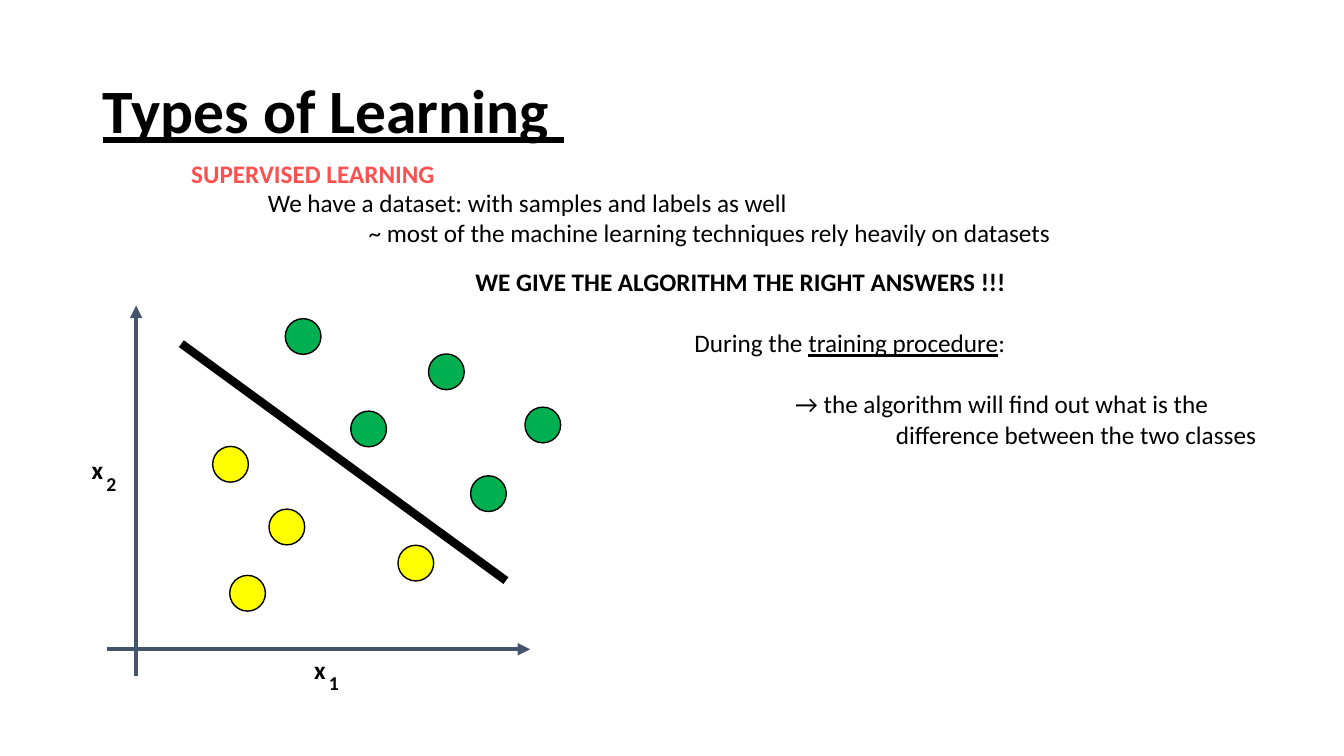
"""Build the supervised learning slide with its two-class scatter sketch."""
import pptx
import pptx.dml.color
import pptx.enum.shapes
import pptx.enum.text
import pptx.oxml.ns
import pptx.util
from lxml import etree

Cm, Pt = pptx.util.Cm, pptx.util.Pt
FONT = "Calibri"
BLACK, CORAL, SLATE = "000000", "FF5050", "44546A"
YELLOW, GREEN = "FFFF00", "00B050"
TAB = 2.54
BLANK_LINE = 22
DOT = 0.9
LABEL_HEIGHT = 1.02

TITLE = ("Types of Learning ", {"bold": True, "underline": True})
TITLE_AREA = (2.34, 1.02, 29.21, 3.68)

# (area, paragraphs); paragraph: (indent in tabs, space before, runs)
NOTES = [
    ((4.57, 3.86, 6.75, 1.02),
     [(0, 0, [("SUPERVISED LEARNING", {"bold": True, "color": CORAL})])]),
    ((6.5, 4.6, 20.47, 1.8),
     [(0, 0, [("We have a dataset: with samples and labels as well", {})]),
      (1, 0, [("~ most of the machine learning techniques rely heavily on datasets", {})])]),
    ((11.73, 6.58, 14.1, 1.02),
     [(0, 0, [("WE GIVE THE ALGORITHM THE RIGHT ANSWERS !!!", {"bold": True})])]),
    ((17.25, 8.13, 15.9, 3.33),
     [(0, 0, [("During the ", {}), ("training procedure", {"underline": True}), (":", {})]),
      (1, BLANK_LINE, [("→ the algorithm will find out what is the", {})]),
      (2, 0, [("difference between the two classes", {})])]),
]

AXES = [((3.43, 17.04), (3.43, 7.7)), ((2.69, 16.36), (13.36, 16.36))]
AXIS_LABELS = [("2", 2.06, 11.33), ("1", 7.67, 16.36)]
SUBSCRIPT_SHIFT = (0.37, 0.43)
BOUNDARY = ((4.57, 8.66), (12.75, 14.63))
CLASSES = {
    YELLOW: [(5.36, 11.25), (5.79, 14.5), (6.78, 12.83), (10.03, 13.74)],
    GREEN: [(7.19, 8.03), (8.84, 10.36), (11.86, 11.99), (13.23, 10.26), (10.8, 8.92)],
}


def rgb(value):
    return pptx.dml.color.RGBColor.from_string(value)


def add_span(para, text, size=18, bold=False, underline=False, color=BLACK):
    span = para.add_run()
    span.text = text
    font = span.font
    font.name, font.size = FONT, Pt(size)
    font.bold, font.underline = bold, underline
    font.color.rgb = rgb(color)


def add_note(page, area, paragraphs):
    box = page.shapes.add_textbox(*map(Cm, area))
    frame = box.text_frame
    frame.word_wrap = True
    for index, (tabs, before, spans) in enumerate(paragraphs):
        para = frame.add_paragraph() if index else frame.paragraphs[0]
        if tabs:
            para._p.get_or_add_pPr().set("marL", str(Cm(tabs * TAB)))
        para.space_before = Pt(before)
        for text, style in spans:
            add_span(para, text, **style)


def add_line(page, ends, color, width, arrow=False):
    start, end = ends
    line = page.shapes.add_connector(
        pptx.enum.shapes.MSO_CONNECTOR.STRAIGHT, *map(Cm, start + end))
    line.line.color.rgb = rgb(color)
    line.line.width = Pt(width)
    if arrow:
        outline = line.line._get_or_add_ln()
        etree.SubElement(outline, pptx.oxml.ns.qn("a:tailEnd"), type="triangle")
    etree.SubElement(line._element.spPr, pptx.oxml.ns.qn("a:effectLst"))


def add_dot(page, left, top, color):
    dot = page.shapes.add_shape(
        pptx.enum.shapes.MSO_SHAPE.OVAL, *map(Cm, (left, top, DOT, DOT)))
    dot.shadow.inherit = False
    dot.fill.solid()
    dot.fill.fore_color.rgb = rgb(color)
    dot.line.color.rgb = rgb(BLACK)
    dot.line.width = Pt(1)


def add_title(page):
    title = page.shapes.title
    title.left, title.top, title.width, title.height = map(Cm, TITLE_AREA)
    frame = title.text_frame
    frame.auto_size = pptx.enum.text.MSO_AUTO_SIZE.NONE
    frame.vertical_anchor = pptx.enum.text.MSO_ANCHOR.MIDDLE
    para = frame.paragraphs[0]
    para.alignment = pptx.enum.text.PP_ALIGN.LEFT
    para.line_spacing = 0.9
    text, style = TITLE
    add_span(para, text, size=44, **style)


def main():
    deck = pptx.Presentation()
    deck.slide_width, deck.slide_height = Cm(33.87), Cm(19.05)
    page = deck.slides.add_slide(deck.slide_layouts[5])
    add_title(page)
    for area, paragraphs in NOTES:
        add_note(page, area, paragraphs)
    for ends in AXES:
        add_line(page, ends, SLATE, 3, arrow=True)
    shift_x, shift_y = SUBSCRIPT_SHIFT
    for digit, left, top in AXIS_LABELS:
        for text, x, y, size in [("x", left, top, 18),
                                 (digit, left + shift_x, top + shift_y, 14)]:
            add_note(page, (x, y, 0.86, LABEL_HEIGHT),
                     [(0, 0, [(text, {"size": size, "bold": True})])])
    for color, dots in CLASSES.items():
        for left, top in dots:
            add_dot(page, left, top, color)
    add_line(page, BOUNDARY, BLACK, 6)
    deck.save("out.pptx")


if __name__ == "__main__":
    main()
